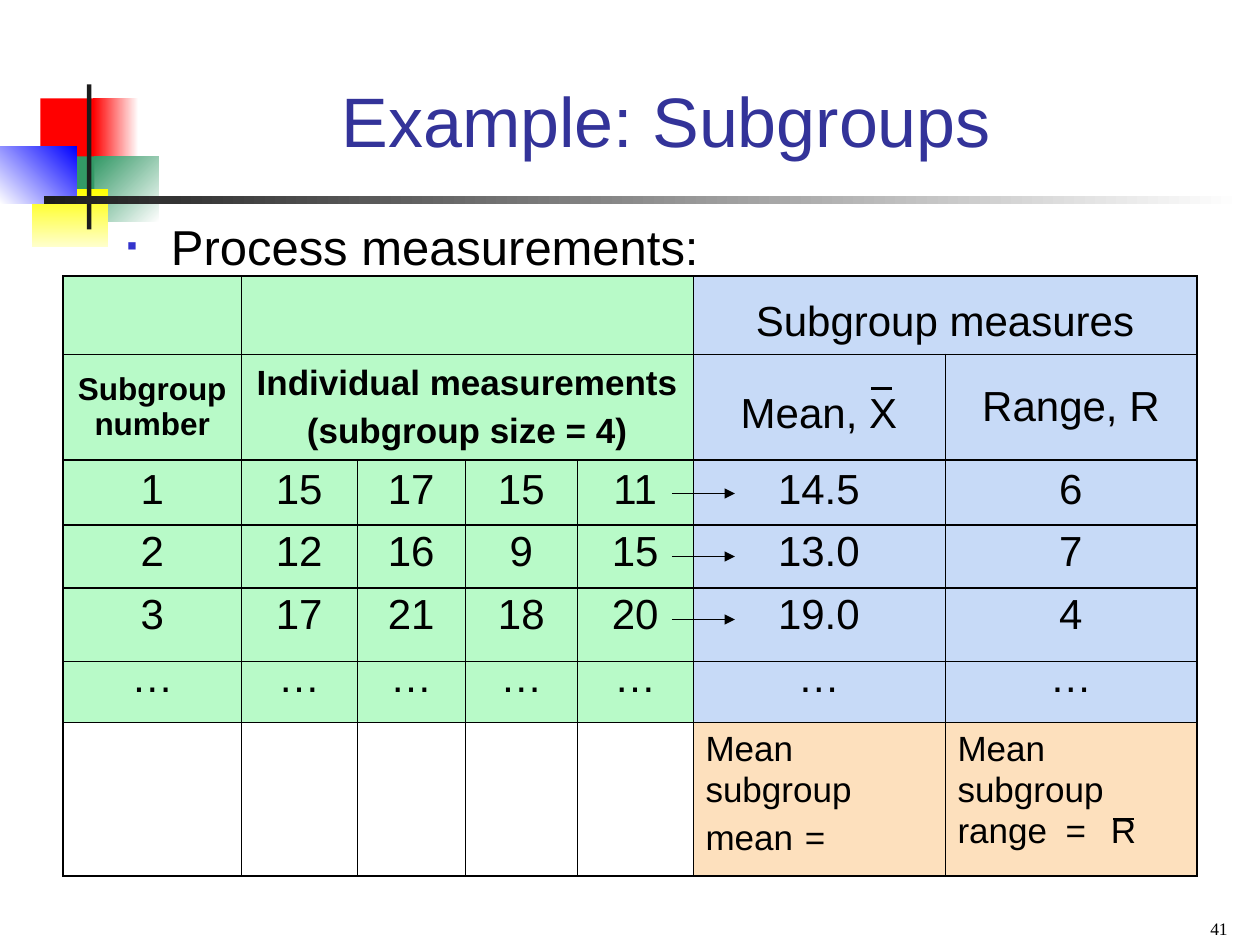
import pptx
import pptx.dml.color
import pptx.enum.shapes
import pptx.enum.text
import pptx.oxml
import pptx.oxml.ns
import pptx.util

COLOURS = {
    "black": "000000", "white": "FFFFFF", "ink": "1C1C1C", "title": "333399",
    "bullet": "3333CC", "red": "FF0000", "green": "339966", "yellow": "FFFF00",
    "cream": "FFFFCC", "blue": "0000FF", "measured": "B8FAC8",
    "computed": "C7DAF7", "averaged": "FDE0BD",
}
ALIGN = pptx.enum.text.PP_ALIGN
ANCHOR = pptx.enum.text.MSO_ANCHOR
COLUMNS = 120
THIN, THICK = 0.45, 1.08


def rgb(name):
    return pptx.dml.color.RGBColor.from_string(COLOURS[name])


def add_xml(parent, markup):
    """Append markup, whose first space takes the namespace."""
    namespace = pptx.oxml.ns.nsdecls("a")
    parent.append(pptx.oxml.parse_xml(markup.replace(" ", f" {namespace} ", 1)))


class Slide:
    """Style and current page; lengths are cells of a 120 by 90 grid."""

    def __init__(self, deck):
        self.font = "Arial"
        self.unit = deck.slide_width / COLUMNS
        self.page = deck.slides.add_slide(deck.slide_layouts[6])

    def grid(self, *lengths):
        return [pptx.util.Emu(round(length * self.unit)) for length in lengths]

    def block(self, place, colours, angle=0):
        """Rectangle, plain for one colour; angle runs clockwise."""
        kind = pptx.enum.shapes.MSO_SHAPE.RECTANGLE
        shape = self.page.shapes.add_shape(kind, *self.grid(*place))
        shape.shadow.inherit = False
        shape.line.fill.background()
        if len(colours) == 1:
            shape.fill.solid()
            shape.fill.fore_color.rgb = rgb(colours[0])
        else:
            shape.fill.gradient()
            shape.fill.gradient_angle = (360 - angle) % 360
            for stop, colour in zip(shape.fill.gradient_stops, colours):
                stop.color.rgb = rgb(colour)

    def line(self, start, end, width=0.75, arrow=False):
        kind = pptx.enum.shapes.MSO_CONNECTOR.STRAIGHT
        connector = self.page.shapes.add_connector(kind, *self.grid(*start, *end))
        connector.line.color.rgb = rgb("black")
        connector.line.width = pptx.util.Pt(width)
        properties = connector._element.spPr
        if arrow:
            add_xml(properties.get_or_add_ln(), '<a:tailEnd type="triangle"/>')
        add_xml(properties, "<a:effectLst />")

    def add_text(self, frame, paragraphs, size, colour="black", bold=False,
                 font=None, tabs=(), **layout):
        """Each paragraph is a string or a list of (text, size) spans."""
        for number, content in enumerate(paragraphs):
            para = frame.paragraphs[0] if number == 0 else frame.add_paragraph()
            if tabs:
                stops = "".join(f'<a:tab pos="{stop}" algn="l"/>' for stop in self.grid(*tabs))
                add_xml(para._p.get_or_add_pPr(), f"<a:tabLst >{stops}</a:tabLst>")
            for name, value in layout.items():
                if name != "space_before" or number > 0:
                    setattr(para, name, value)
            spans = [(content, size)] if isinstance(content, str) else content
            for text, points in spans:
                span = para.add_run()
                span.text = text
                style = {"name": font or self.font, "size": pptx.util.Pt(points), "bold": bold}
                for name, value in style.items():
                    setattr(span.font, name, value)
                span.font.color.rgb = rgb(colour)

    def text(self, place, content, size, anchor=ANCHOR.TOP, **style):
        box = self.page.shapes.add_textbox(*self.grid(*place))
        frame = box.text_frame
        side, end = pptx.util.Inches(0.09), pptx.util.Inches(0.05)
        settings = {"word_wrap": True, "vertical_anchor": anchor, "margin_left": side,
                    "margin_right": side, "margin_top": end, "margin_bottom": end}
        for name, value in settings.items():
            setattr(frame, name, value)
        self.add_text(frame, [content], size, **style)
        return frame.paragraphs[0]

    def bullet(self, place, content, size):
        para = self.text(place, content, size)
        properties = para._p.get_or_add_pPr()
        hang = pptx.util.Inches(0.35)
        properties.set("marL", str(hang))
        properties.set("indent", str(-hang))
        for markup in (f'<a:buClr ><a:srgbClr val="{COLOURS["bullet"]}"/></a:buClr>',
                       '<a:buSzPct val="60000"/>', '<a:buFont typeface="Arial"/>',
                       '<a:buChar char="▪"/>'):
            add_xml(properties, markup)

    def table(self, corner, widths, heights, merges):
        place = self.grid(*corner, sum(widths), sum(heights))
        table = self.page.shapes.add_table(len(heights), len(widths), *place).table
        table.first_row = table.horz_banding = False
        for column, width in zip(table.columns, self.grid(*widths)):
            column.width = width
        for row, height in zip(table.rows, self.grid(*heights)):
            row.height = height
        for row, first, last in merges:
            table.cell(row, first).merge(table.cell(row, last))
        return table

    def cell(self, cell, fill, borders):
        for side, width in borders.items():
            add_xml(cell._tc.get_or_add_tcPr(),
                    f'<a:ln{side} w="{pptx.util.Pt(width)}"><a:solidFill><a:srgbClr '
                    f'val="{COLOURS["black"]}"/></a:solidFill></a:ln{side}>')
        if fill:
            cell.fill.solid()
            cell.fill.fore_color.rgb = rgb(fill)
        else:
            cell.fill.background()


def add_ornament(slide):
    slide.block((3.84, 9.36, 5.76, 6.24), ["red"])
    slide.block((8.88, 9.36, 4.32, 6.24), ["white", "red"], 180)
    slide.block((9, 14.88, 6.12, 6.24), ["white", "green"], 225)
    slide.block((5.16, 14.88, 3.84, 6.24), ["green"])
    slide.block((3, 18, 7.32, 5.52), ["yellow", "cream"], 90)
    slide.block((0, 13.92, 7.32, 5.52), ["blue", "white"], 135)
    slide.block((8.28, 8.04, 0.42, 13.8), ["ink"])
    slide.block((4.2, 18.72, 114.12, 0.72), ["white", "ink"], 180)


def add_measurements(slide):
    widths, heights = [17, 11, 10.32, 10.68, 11, 24, 24], [7.44, 10.08, 24.96, 14.64]
    table = slide.table((6, 26.28), widths, heights, [(0, 1, 4), (0, 5, 6), (1, 1, 4)])
    for row in range(len(heights)):
        for column in range(len(widths)):
            cell = table.cell(row, column)
            if cell.is_spanned:
                continue
            end = column + (cell.span_width if cell.is_merge_origin else 1)
            borders = {"L": THICK if column == 0 else THIN,
                       "R": THICK if end == len(widths) else THIN,
                       "T": THICK if row in (0, 2) else THIN,
                       "B": THICK if row in (1, 3) else THIN}
            left, right = (None, "averaged") if row == 3 else ("measured", "computed")
            slide.cell(cell, left if column < 5 else right, borders)

    headings = {
        (0, 5): (["Subgroup measures"], 24, {"line_spacing": 1.3}),
        (1, 0): (["Subgroup number"], 18, {"bold": True}),
        (1, 1): (["Individual measurements", "(subgroup size = 4)"], 20,
                 {"bold": True, "space_before": pptx.util.Pt(5)}),
        (1, 5): (["Mean, X"], 24, {"line_spacing": 1.3}),
        (1, 6): (["Range, R"], 24, {}),
    }
    for position, (lines, size, style) in headings.items():
        cell = table.cell(*position)
        cell.vertical_anchor = ANCHOR.MIDDLE
        slide.add_text(cell.text_frame, lines, size, alignment=ALIGN.CENTER, **style)

    subgroups = [("1", "15", "17", "15", "11", "14.5", "6"),
                 ("2", "12", "16", "9", "15", "13.0", "7"),
                 ("3", "17", "21", "18", "20", "19.0", "4"),
                 ("…",) * len(widths)]
    for column, values in enumerate(zip(*subgroups)):
        slide.add_text(table.cell(2, column).text_frame, values, 24,
                       alignment=ALIGN.CENTER, space_before=pptx.util.Pt(9))

    mean = [("Mean subgroup mean", 20), (" ", 24), ("=", 20)]
    slide.add_text(table.cell(3, 5).text_frame, [mean], 20, line_spacing=1.05)
    slide.add_text(table.cell(3, 6).text_frame, ["Mean subgroup range\t=\tR"], 20,
                   tabs=(10.3, 14.6), line_spacing=1.05)


def main():
    deck = pptx.Presentation()
    deck.slide_width, deck.slide_height = pptx.util.Inches(10), pptx.util.Inches(7.5)
    slide = Slide(deck)
    add_ornament(slide)
    slide.text((17, 3, 92.88, 12.96), "Example: Subgroups", 40, anchor=ANCHOR.BOTTOM,
               colour="title", alignment=ALIGN.CENTER)
    slide.bullet((11, 20, 58, 7.68), "Process measurements:", 28)
    add_measurements(slide)
    for left, top in ((83, 37), (106, 78)):
        slide.line((left, top), (left + 2, top), width=1.5)
    for divider in (50, 56, 63):
        slide.line((6, divider), (114, divider))
    for arrow in (47, 53, 59):
        slide.line((64, arrow), (70, arrow), arrow=True)
    slide.text((90, 85.8, 28, 4.2), "41", 10, anchor=ANCHOR.BOTTOM,
               font="Times New Roman", alignment=ALIGN.RIGHT)
    deck.save("out.pptx")


if __name__ == "__main__":
    main()
